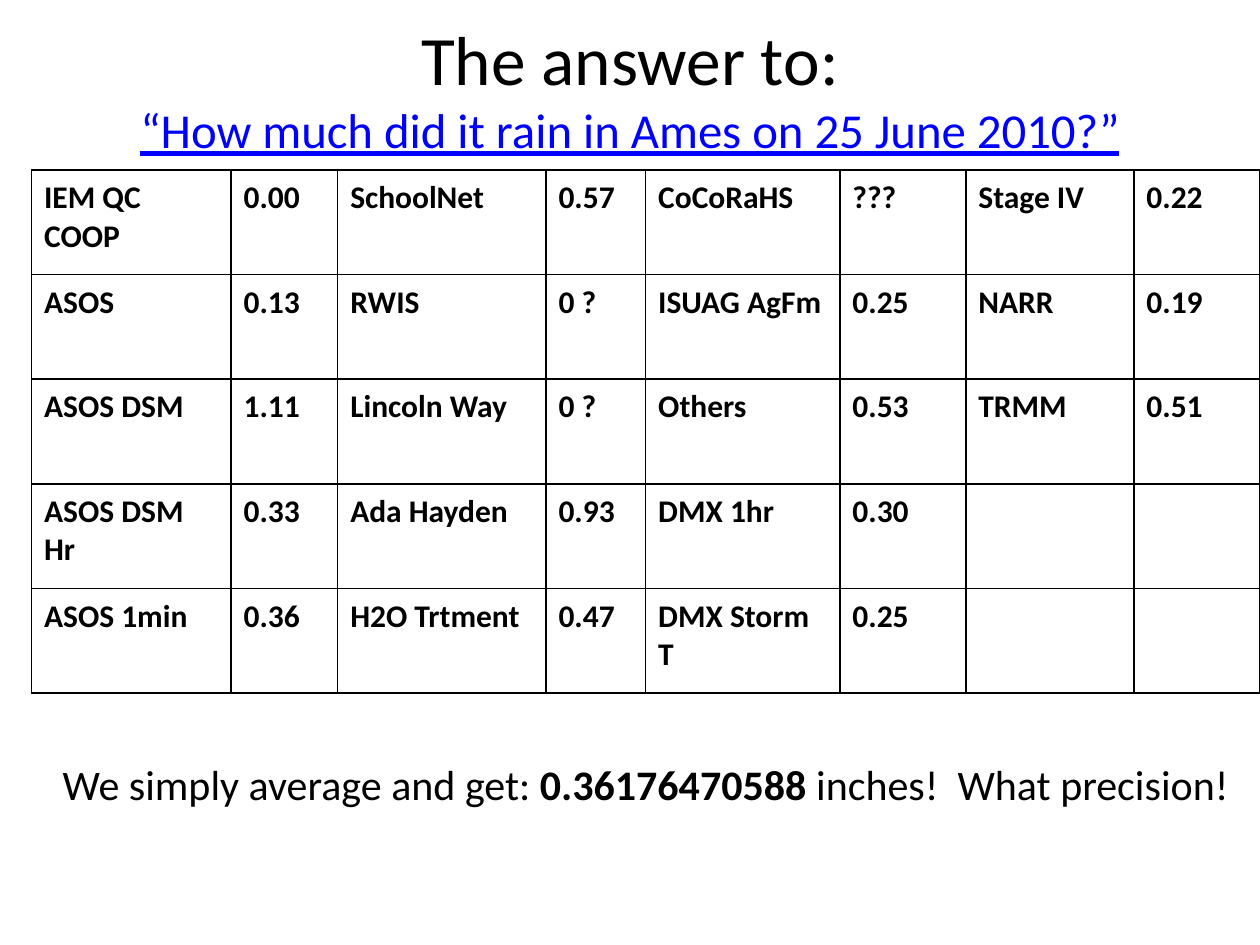
import pptx
import pptx.util
import pptx.dml.color
import pptx.enum.text
import pptx.oxml

Pt = pptx.util.Pt
COLORS = {"text": "000000", "question": "0000FF", "border": "000000"}
ALIGN = pptx.enum.text.PP_ALIGN
ANCHOR = pptx.enum.text.MSO_ANCHOR


def rgb(name):
    return pptx.dml.color.RGBColor.from_string(COLORS[name])


class RainSlide:
    font_name = "Calibri"

    def __init__(self, deck):
        self.slide = deck.slides.add_slide(deck.slide_layouts[5])

    def style(self, font, size, color="text", bold=False):
        font.name = self.font_name
        font.size = Pt(size)
        font.bold = bold
        font.color.rgb = rgb(color)

    def title(self, heading, question, left, top, width, height):
        title = self.slide.shapes.title
        title.left, title.top = Pt(left), Pt(top)
        title.width, title.height = Pt(width), Pt(height)
        frame = title.text_frame
        frame.word_wrap = True
        frame.auto_size = pptx.enum.text.MSO_AUTO_SIZE.NONE
        frame.vertical_anchor = ANCHOR.MIDDLE
        line = frame.paragraphs[0]
        line.alignment = ALIGN.CENTER
        self.style(line.font, 27.9)
        for text, size, color in ((heading, 39.6, "text"), (question, 27.9, "question")):
            run = line.add_run()
            run.text = text
            self.style(run.font, size, color)
            line.add_line_break()
        run.font.underline = True

    def border(self, cell):
        props = cell._tc.get_or_add_tcPr()
        for index, side in enumerate(("lnL", "lnR", "lnT", "lnB")):
            props.insert(index, pptx.oxml.parse_xml(
                f'<a:{side} xmlns:a="http://schemas.openxmlformats.org/drawingml/2006/main" w="12700">'
                f'<a:solidFill><a:srgbClr val="{COLORS["border"]}"/></a:solidFill></a:{side}>'))

    def table(self, rows, widths, row_height, left, top):
        table = self.slide.shapes.add_table(
            len(rows), len(widths), Pt(left), Pt(top),
            Pt(sum(widths)), Pt(row_height * len(rows))).table
        table.first_row = table.horz_banding = False
        for column, width in zip(table.columns, widths):
            column.width = Pt(width)
        for row, values in zip(table.rows, rows):
            row.height = Pt(row_height)
            for cell, value in zip(row.cells, values):
                cell.margin_left = cell.margin_right = Pt(7.2)
                cell.margin_top = cell.margin_bottom = Pt(5)
                cell.fill.background()
                self.border(cell)
                cell.text = value
                self.style(cell.text_frame.paragraphs[0].font, 18, bold=True)

    def caption(self, parts, left, top, width, height):
        box = self.slide.shapes.add_textbox(Pt(left), Pt(top), Pt(width), Pt(height))
        frame = box.text_frame
        frame.word_wrap = True
        frame.auto_size = pptx.enum.text.MSO_AUTO_SIZE.SHAPE_TO_FIT_TEXT
        line = frame.paragraphs[0]
        line.alignment = ALIGN.CENTER
        for text, bold in parts:
            run = line.add_run()
            run.text = text
            self.style(run.font, 24, bold=bold)


def main():
    deck = pptx.Presentation()
    deck.slide_width, deck.slide_height = Pt(720), Pt(540)
    page = RainSlide(deck)

    # Question
    page.title("The answer to:", "“How much did it rain in Ames on 25 June 2010?”",
               36, 21.6, 648, 90)

    # Rainfall by source, as label and value pairs
    rainfall = [
        ["IEM QC COOP", "0.00", "SchoolNet", "0.57", "CoCoRaHS", "???", "Stage IV", "0.22"],
        ["ASOS", "0.13", "RWIS", "0 ?", "ISUAG AgFm", "0.25", "NARR", "0.19"],
        ["ASOS DSM", "1.11", "Lincoln Way", "0 ?", "Others", "0.53", "TRMM", "0.51"],
        ["ASOS DSM Hr", "0.33", "Ada Hayden", "0.93", "DMX 1hr", "0.30", "", ""],
        ["ASOS 1min", "0.36", "H2O Trtment", "0.47", "DMX Storm T", "0.25", "", ""],
    ]
    page.table(rainfall, [114, 61, 119, 57, 111, 72, 96, 72], 59.76, 18, 97.2)

    # Average
    page.caption([("We simply average and get: ", False), ("0.36176470588", True),
                  (" inches!  What precision!", False)], 18, 430, 702, 36)

    deck.save("out.pptx")


if __name__ == "__main__":
    main()
